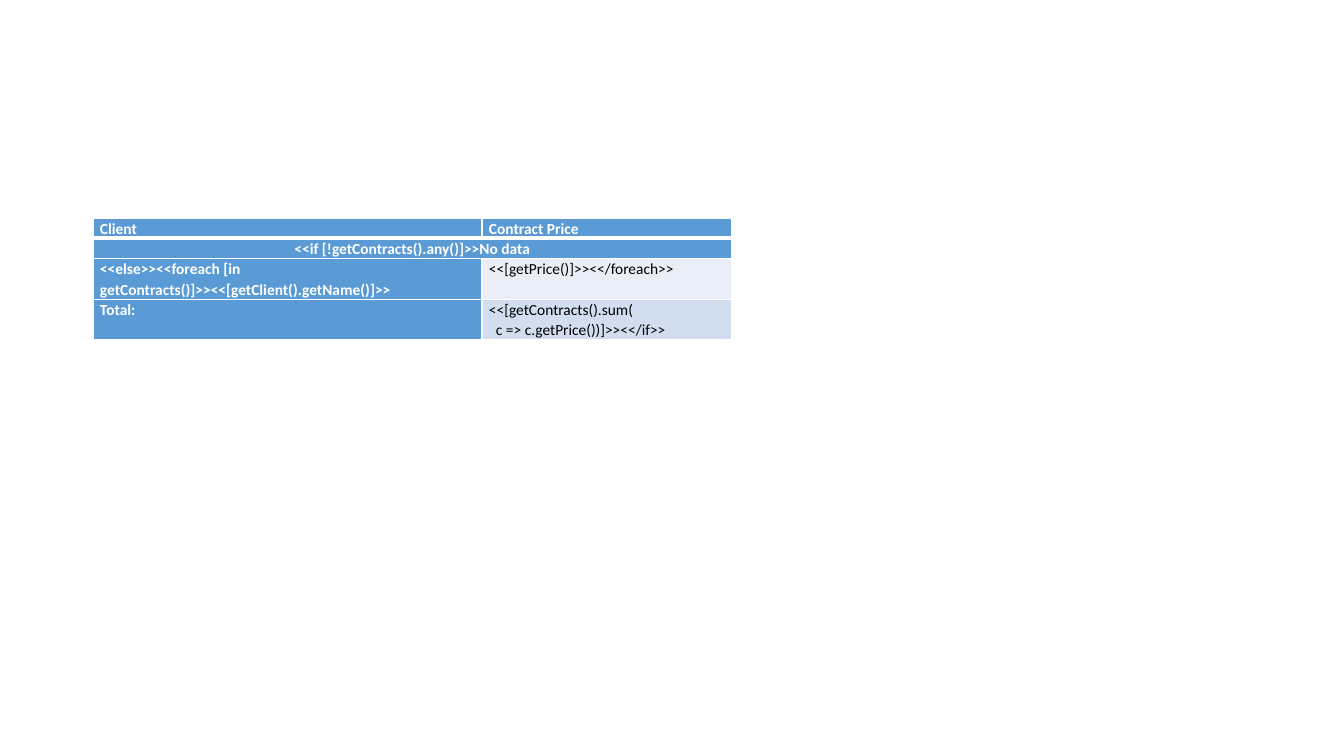
import pptx
import pptx.util
import pptx.dml.color
import pptx.enum.text
import pptx.oxml
import pptx.oxml.ns

WHITE = pptx.dml.color.RGBColor(0xFF, 0xFF, 0xFF)
BLACK = pptx.dml.color.RGBColor(0x00, 0x00, 0x00)
BLUE = pptx.dml.color.RGBColor(0x5B, 0x9B, 0xD5)
PALE = pptx.dml.color.RGBColor(0xEA, 0xEF, 0xF7)
LIGHT = pptx.dml.color.RGBColor(0xD2, 0xDE, 0xEF)

CONTRACTS = [
    (["Client"], ["Contract Price"]),
    (["<<if [!getContracts().any()]>>No data"], []),
    (["<<else>><<foreach [in getContracts()]>><<[getClient().getName()]>>"],
     ["<<[getPrice()]>><</foreach>>"]),
    (["Total:"], ["<<[getContracts().sum(", "c => c.getPrice())]>><</if>>"]),
]
PRICE_FILLS = [BLUE, BLUE, PALE, LIGHT]
NO_DATA_ROW = 1
COLUMN_WIDTHS = [389, 250]
ROW_HEIGHTS = [20, 20, 40, 40]
LEFT, TOP = 93, 218
CELL_INSET = 7
CODE_INDENT = 7
THIN, THICK = 1, 3


def px(length):
    return pptx.util.Emu(round(length * 914400 / 100.8))


def write(cell, lines, color, bold, align):
    for number, line in enumerate(lines):
        frame = cell.text_frame
        paragraph = frame.add_paragraph() if number else frame.paragraphs[0]
        paragraph.alignment = align
        paragraph.line_spacing = 1.07
        if number:
            properties = paragraph._p.get_or_add_pPr()
            properties.set("marL", str(px(CODE_INDENT)))
            properties.set("indent", "0")
        run = paragraph.add_run()
        run.text = line
        run.font.name = "Calibri"
        run.font.size = pptx.util.Pt(11)
        run.font.bold = bold
        run.font.color.rgb = color


def draw_borders(cell, top, bottom):
    properties = cell._tc.get_or_add_tcPr()
    for side, width in (("L", THIN), ("R", THIN), ("T", top), ("B", bottom)):
        properties.append(pptx.oxml.parse_xml(
            f'<a:ln{side} {pptx.oxml.ns.nsdecls("a")} w="{pptx.util.Pt(width)}">'
            f'<a:solidFill><a:srgbClr val="{WHITE}"/></a:solidFill></a:ln{side}>'))


def main():
    deck = pptx.Presentation()
    deck.slide_width, deck.slide_height = px(1344), px(756)
    slide = deck.slides.add_slide(deck.slide_layouts[6])
    table = slide.shapes.add_table(
        len(CONTRACTS), len(COLUMN_WIDTHS), px(LEFT), px(TOP),
        px(sum(COLUMN_WIDTHS)), px(sum(ROW_HEIGHTS))).table
    for column, width in zip(table.columns, COLUMN_WIDTHS):
        column.width = px(width)
    for row, height in zip(table.rows, ROW_HEIGHTS):
        row.height = px(height)
    table.cell(NO_DATA_ROW, 0).merge(table.cell(NO_DATA_ROW, 1))

    for r, texts in enumerate(CONTRACTS):
        for c, lines in enumerate(texts):
            cell = table.cell(r, c)
            fill = PRICE_FILLS[r] if c else BLUE
            on_blue = fill == BLUE
            cell.margin_left = cell.margin_right = px(CELL_INSET)
            cell.margin_top = cell.margin_bottom = 0
            draw_borders(cell, THICK if r == 1 else THIN, THICK if r == 0 else THIN)
            cell.fill.solid()
            cell.fill.fore_color.rgb = fill
            align = pptx.enum.text.PP_ALIGN.CENTER if r == NO_DATA_ROW else pptx.enum.text.PP_ALIGN.LEFT
            write(cell, lines, color=WHITE if on_blue else BLACK, bold=on_blue, align=align)

    deck.save("out.pptx")


if __name__ == "__main__":
    main()
